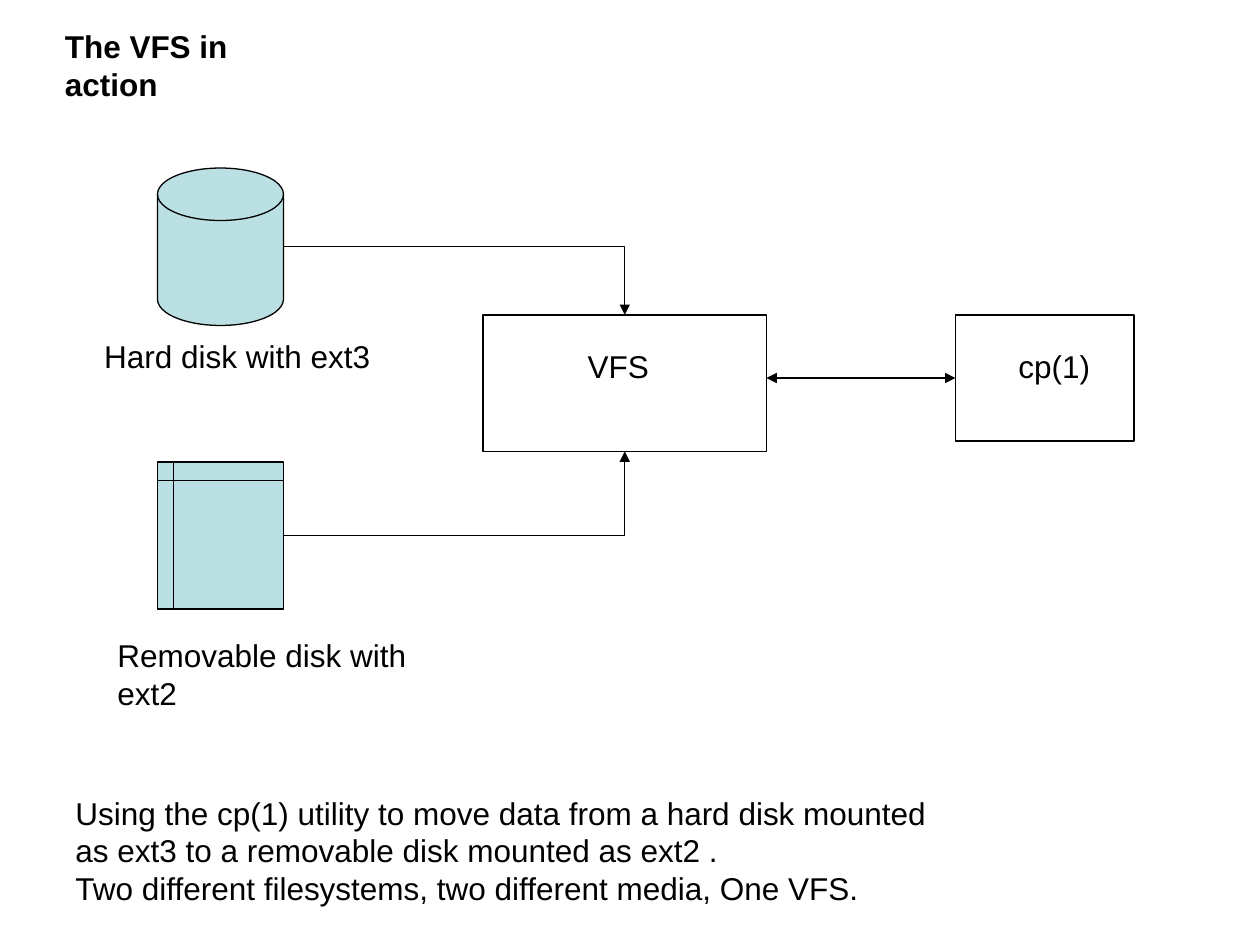
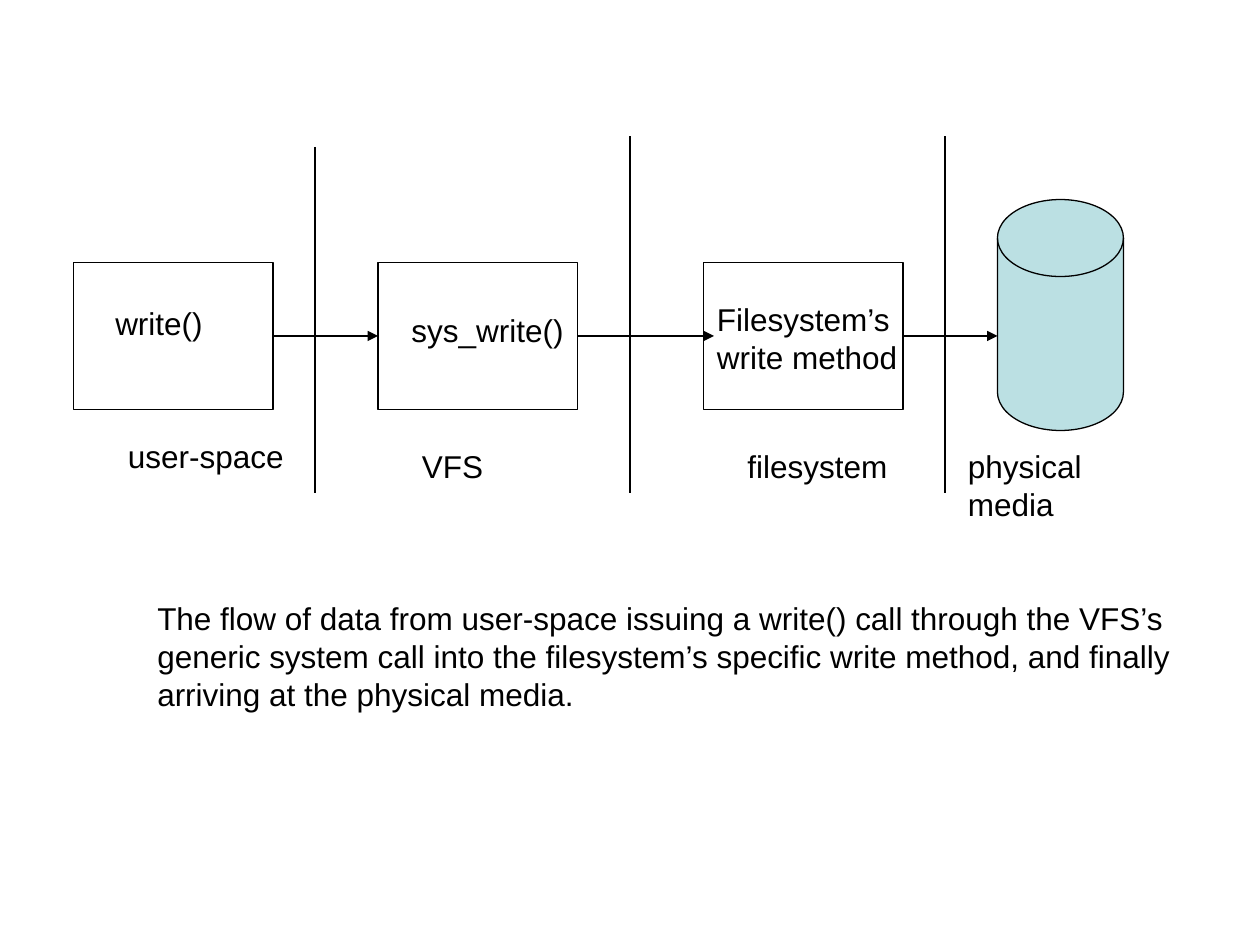
"""Two diagrams of the virtual filesystem: copying between disks and the path of a write."""
from lxml import etree
from pptx import Presentation, util as u
from pptx.dml import color
from pptx.enum import shapes, text
from pptx.oxml import ns

COLUMNS, ROWS = 120, 90
INK, DISK_FILL = "000000", "BBE0E3"
FONT, TEXT_SIZE, LINE_WIDTH = "Arial", u.Pt(18), u.Pt(0.75)
BOX, PROCESS = shapes.MSO_SHAPE.RECTANGLE, shapes.MSO_SHAPE.FLOWCHART_PROCESS
DISK = shapes.MSO_SHAPE.FLOWCHART_MAGNETIC_DISK
STORAGE = shapes.MSO_SHAPE.FLOWCHART_INTERNAL_STORAGE
TOP, LEFT, BOTTOM, RIGHT = range(4)
STRAIGHT, ELBOW = shapes.MSO_CONNECTOR.STRAIGHT, shapes.MSO_CONNECTOR.ELBOW

deck = Presentation()
deck.slide_width, deck.slide_height = u.Inches(10), u.Inches(7.5)


def paint(fill, hex_colour):
    fill.solid()
    fill.fore_color.rgb = color.RGBColor.from_string(hex_colour)


def cells(*lengths):
    """Turn alternating column and row counts into slide lengths."""
    units = (deck.slide_width / COLUMNS, deck.slide_height / ROWS)
    return [round(length * units[i % 2]) for i, length in enumerate(lengths)]


copy_action = {
    "nodes": {
        "hard disk": (DISK, 15, 16, 12, 15),
        "removable disk": (STORAGE, 15, 44, 12, 14),
        "vfs": (BOX, 46, 30, 27, 13),
        "cp": (BOX, 91, 30, 17, 12),
    },
    "lines": [
        (ELBOW, (27, 51, 59.5, 43), ["tailEnd"], ("removable disk", RIGHT), ("vfs", BOTTOM)),
        (ELBOW, (27, 23.5, 59.5, 30), ["tailEnd"], ("hard disk", RIGHT), ("vfs", TOP)),
        (STRAIGHT, (73, 36, 91, 36), ["headEnd", "tailEnd"], None, ("cp", LEFT)),
    ],
    "texts": [
        (5, 2, 27.5, True, ["The VFS in action"]),
        (8.75, 31.5, 27.75, False, ["Hard disk with ext3"]),
        (10, 60, 36.3, False, ["Removable disk with ext2"]),
        (54.8, 32.5, 8.2, False, ["VFS"]),
        (95.8, 32.5, 9.2, False, ["cp(1)"]),
        (6, 75, 83.4, False, [
            "Using the cp(1) utility to move data from a hard disk mounted",
            "as ext3 to a removable disk mounted as ext2 .",
            "Two different filesystems, two different media, One VFS."]),
    ],
}
write_flow = {
    "nodes": {
        "media": (DISK, 95, 19, 12, 22),
        "write": (PROCESS, 7, 25, 19, 14),
        "sys_write": (PROCESS, 36, 25, 19, 14),
        "method": (PROCESS, 67, 25, 19, 14),
    },
    "lines": [
        *[(STRAIGHT, (30 * layer, top, 30 * layer, 47), [], None, None)
          for layer, top in enumerate((14, 13, 13), 1)],
        (STRAIGHT, (26, 32, 36, 32), ["tailEnd"], ("write", RIGHT), ("sys_write", LEFT)),
        (STRAIGHT, (55, 32, 68, 32), ["tailEnd"], ("sys_write", RIGHT), None),
        (STRAIGHT, (86, 32, 95, 32), ["tailEnd"], ("method", RIGHT), None),
    ],
    "texts": [
        (9.8, 28.4, 10.7, False, ["write()"]),
        (38, 29, 16.9, False, ["sys_write()"]),
        (67.1, 28, 19.6, False, ["Filesystem’s", "write method"]),
        (11, 41, 17.2, False, ["user-space"]),
        (39, 42, 8.2, False, ["VFS"]),
        (70, 42, 15.7, False, ["filesystem"]),
        (91, 42, 22.2, False, ["physical media"]),
        (13.8, 56.5, 98.9, False, [
            "The flow of data from user-space issuing a write() call through the VFS’s",
            "generic system call into the filesystem’s specific write method, and finally",
            "arriving at the physical media."]),
    ],
}

for diagram in (copy_action, write_flow):
    page = deck.slides.add_slide(deck.slide_layouts[6])

    nodes = {}
    for name, (kind, *place) in diagram["nodes"].items():
        node = nodes[name] = page.shapes.add_shape(kind, *cells(*place))
        node.shadow.inherit = False
        if kind in (DISK, STORAGE):
            paint(node.fill, DISK_FILL)
        else:
            node.fill.background()
        paint(node.line.fill, INK)
        node.line.width = LINE_WIDTH

    for kind, ends, arrowheads, start, finish in diagram["lines"]:
        connector = page.shapes.add_connector(kind, *cells(*ends))
        if start:
            connector.begin_connect(nodes[start[0]], start[1])
            if nodes[start[0]].auto_shape_type == DISK:
                site = connector.element.find(".//" + ns.qn("a:stCxn"))
                site.set("idx", str(start[1] + 1))
        if finish:
            connector.end_connect(nodes[finish[0]], finish[1])
        paint(connector.line.fill, INK)
        connector.line.width = LINE_WIDTH
        properties = connector.element.spPr
        if kind == ELBOW:
            properties.find(ns.qn("a:prstGeom")).set("prst", "bentConnector2")
        outline = properties.find(ns.qn("a:ln"))
        for arrowhead in arrowheads:
            etree.SubElement(outline, ns.qn("a:" + arrowhead), type="triangle")
        etree.SubElement(properties, ns.qn("a:effectLst"))

    for left, top, width, bold, lines in diagram["texts"]:
        height = 1.2 + 3.6 * len(lines)
        box = page.shapes.add_textbox(*cells(left, top, width, height))
        frame = box.text_frame
        frame.word_wrap = False
        frame.auto_size = text.MSO_AUTO_SIZE.SHAPE_TO_FIT_TEXT
        frame.text = "\n".join(lines)
        for para in frame.paragraphs:
            para.font.name, para.font.size, para.font.bold = FONT, TEXT_SIZE, bold
            paint(para.font.fill, INK)

deck.save("out.pptx")
